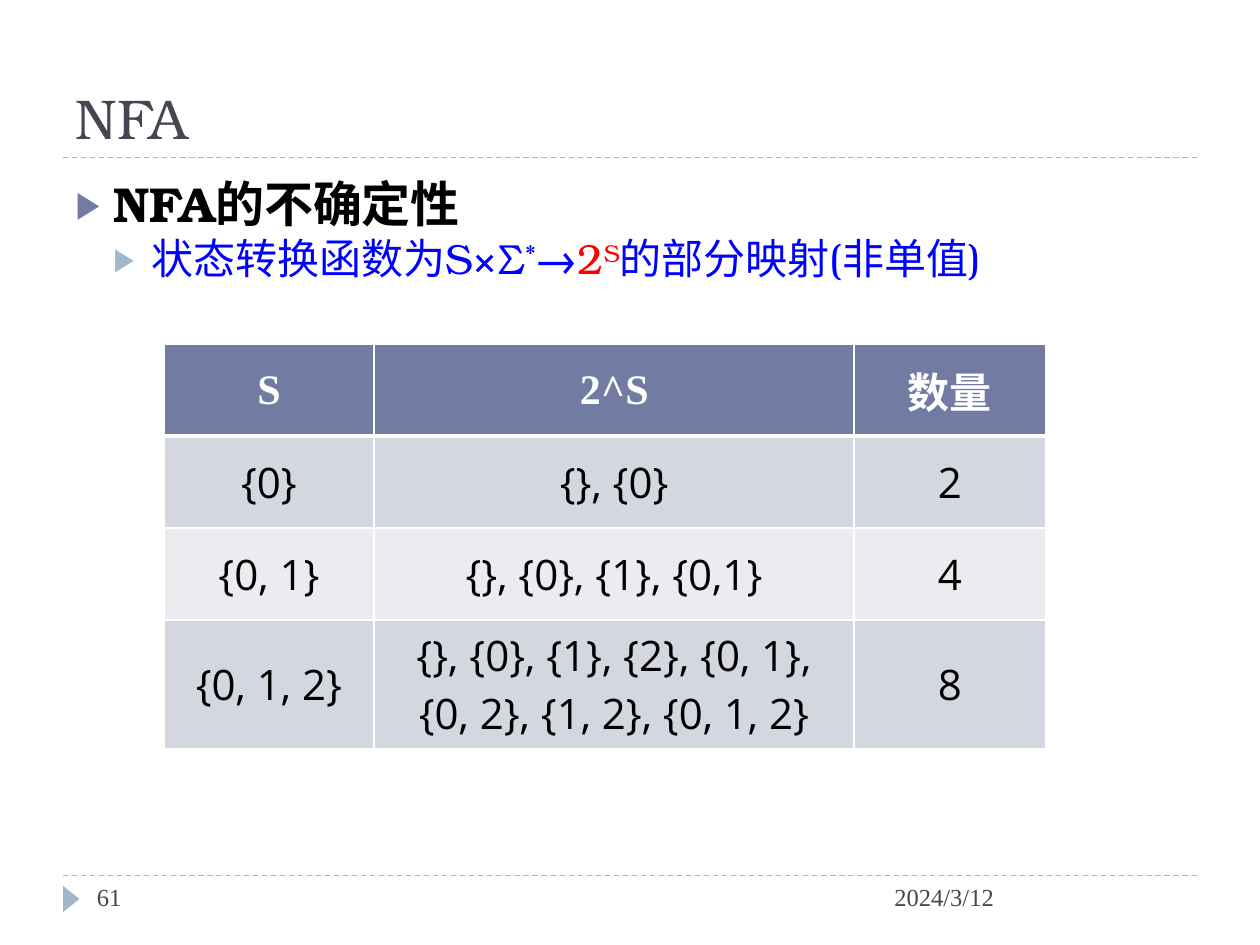
from lxml.etree import SubElement
from pptx import Presentation
from pptx.dml.color import RGBColor
from pptx.enum.dml import MSO_LINE
from pptx.enum.shapes import MSO_CONNECTOR, MSO_SHAPE
from pptx.enum.text import MSO_ANCHOR, MSO_AUTO_SIZE, PP_ALIGN
from pptx.oxml.ns import qn
from pptx.util import Inches, Pt

INDIGO = RGBColor(0x72, 0x7C, 0xA3)
SKY = RGBColor(0x9F, 0xB8, 0xCD)
SLATE = RGBColor(0x46, 0x46, 0x53)
BAND = RGBColor(0xD5, 0xD7, 0xE0)
PALE = RGBColor(0xEB, 0xEC, 0xF0)
BLUE = RGBColor(0x00, 0x00, 0xFF)
RED = RGBColor(0xFF, 0x00, 0x00)
BLACK = RGBColor(0x00, 0x00, 0x00)
WHITE = RGBColor(0xFF, 0xFF, 0xFF)

SERIF = "TeX Gyre Bonum"
ROMAN = "Times New Roman"
SANS = "Open Sans"

MARGIN, WIDE = 0.5, 9
FOOT = 6.95
COLS = (1.67, 3.81, 1.52)
ROWS = (0.73, 0.73, 0.73, 1.02)
SETS = [
    ("S", "2^S", "数量"),
    ("{0}", "{}, {0}", "2"),
    ("{0, 1}", "{}, {0}, {1}, {0,1}", "4"),
    ("{0, 1, 2}", "{}, {0}, {1}, {2}, {0, 1},\n{0, 2}, {1, 2}, {0, 1, 2}", "8"),
]
MAPPING = [
    ("状态转换函数为S×Σ", BLUE, False),
    ("*", BLUE, True),
    ("→", BLUE, False),
    ("2", RED, False),
    ("S", RED, True),
    ("的部分映射(非单值)", BLUE, False),
]


def place(shape, left, top, width, height):
    shape.left, shape.top = Inches(left), Inches(top)
    shape.width, shape.height = Inches(width), Inches(height)


def style(para, name, size, color, bold=False):
    font = para.font
    font.name, font.size, font.bold = name, Pt(size), bold
    font.color.rgb = color


def add_rule(slide, y):
    """Draw a dashed line across the slide between the margins."""
    rule = slide.shapes.add_connector(
        MSO_CONNECTOR.STRAIGHT, Inches(MARGIN), Inches(y),
        Inches(MARGIN + WIDE), Inches(y))
    rule.line.color.rgb = SKY
    rule.line.width = Pt(0.75)
    rule.line.dash_style = MSO_LINE.DASH
    SubElement(rule._element.spPr, qn("a:effectLst"))


def add_marker(slide):
    mark = slide.shapes.add_shape(
        MSO_SHAPE.ISOSCELES_TRIANGLE, Inches(0.46), Inches(7.07),
        Inches(0.21), Inches(0.13))
    mark.rotation = 90
    mark.shadow.inherit = False
    mark.fill.solid()
    mark.fill.fore_color.rgb = SKY
    mark.line.fill.background()


def add_note(slide, text, left, width):
    box = slide.shapes.add_textbox(
        Inches(left), Inches(FOOT), Inches(width), Inches(0.4))
    box.text_frame.word_wrap = True
    para = box.text_frame.paragraphs[0]
    para.text = text
    style(para, ROMAN, 14, SLATE)


def set_title(slide):
    title = slide.shapes.title
    place(title, MARGIN, 0.17, WIDE, 1.08)
    frame = title.text_frame
    frame.text = "NFA"
    frame.vertical_anchor = MSO_ANCHOR.BOTTOM
    para = frame.paragraphs[0]
    para.alignment = PP_ALIGN.LEFT
    style(para, SERIF, 32, SLATE)


def set_bullet(para, level, color):
    para.level = level
    para.alignment = PP_ALIGN.JUSTIFY
    para.space_before = Pt(0)
    props = para._p.get_or_add_pPr()
    props.set("marL", str(Inches(0.3 * (level + 1))))
    props.set("indent", str(-Inches(0.3)))
    tint = SubElement(props, qn("a:buClr"))
    SubElement(tint, qn("a:srgbClr"), val=str(color))
    SubElement(props, qn("a:buSzPct"), val="76000")
    SubElement(props, qn("a:buFont"), typeface=SANS)
    SubElement(props, qn("a:buChar"), char="▶")


def set_body(slide):
    body = slide.placeholders[1]
    place(body, MARGIN, 1.33, WIDE, 5.4)
    frame = body.text_frame
    frame.auto_size = MSO_AUTO_SIZE.NONE
    head = frame.paragraphs[0]
    head.text = "NFA的不确定性"
    set_bullet(head, 0, INDIGO)
    style(head, SERIF, 28, BLACK, True)
    sub = frame.add_paragraph()
    set_bullet(sub, 1, SKY)
    style(sub, SERIF, 24, BLUE)
    for text, color, raised in MAPPING:
        run = sub.add_run()
        run.text = text
        run.font.color.rgb = color
        if raised:
            run.font._element.set("baseline", "30000")


def set_border(cell, side, width):
    props = cell._tc.get_or_add_tcPr()
    line = SubElement(props, qn("a:ln" + side), w=str(Pt(width)))
    fill = SubElement(line, qn("a:solidFill"))
    SubElement(fill, qn("a:srgbClr"), val=str(WHITE))


def fill_cell(cell, text, row):
    head = row == 0
    for side in "LRTB":
        thick = (head and side == "B") or (row == 1 and side == "T")
        set_border(cell, side, 3 if thick else 1)
    cell.fill.solid()
    cell.fill.fore_color.rgb = INDIGO if head else BAND if row % 2 else PALE
    cell.vertical_anchor = MSO_ANCHOR.MIDDLE
    cell.text = text
    for para in cell.text_frame.paragraphs:
        para.alignment = PP_ALIGN.CENTER
        if head:
            style(para, ROMAN, 24, WHITE, True)
        else:
            style(para, SANS, 24, BLACK)


def add_sets(slide):
    table = slide.shapes.add_table(
        len(ROWS), len(COLS), Inches(1.3), Inches(2.73),
        Inches(sum(COLS)), Inches(sum(ROWS))).table
    for col, width in zip(table.columns, COLS):
        col.width = Inches(width)
    for r, (texts, height) in enumerate(zip(SETS, ROWS)):
        table.rows[r].height = Inches(height)
        for c, text in enumerate(texts):
            fill_cell(table.cell(r, c), text, r)


def main():
    deck = Presentation()
    deck.slide_width, deck.slide_height = Inches(10), Inches(7.5)
    slide = deck.slides.add_slide(deck.slide_layouts[1])
    for y in (FOOT, 1.25):
        add_rule(slide, y)
    add_marker(slide)
    set_title(slide)
    set_body(slide)
    add_note(slide, "2024/3/12", 7, 2.5)
    add_note(slide, "61", 0.67, 2.17)
    add_sets(slide)
    deck.save("out.pptx")


if __name__ == "__main__":
    main()
